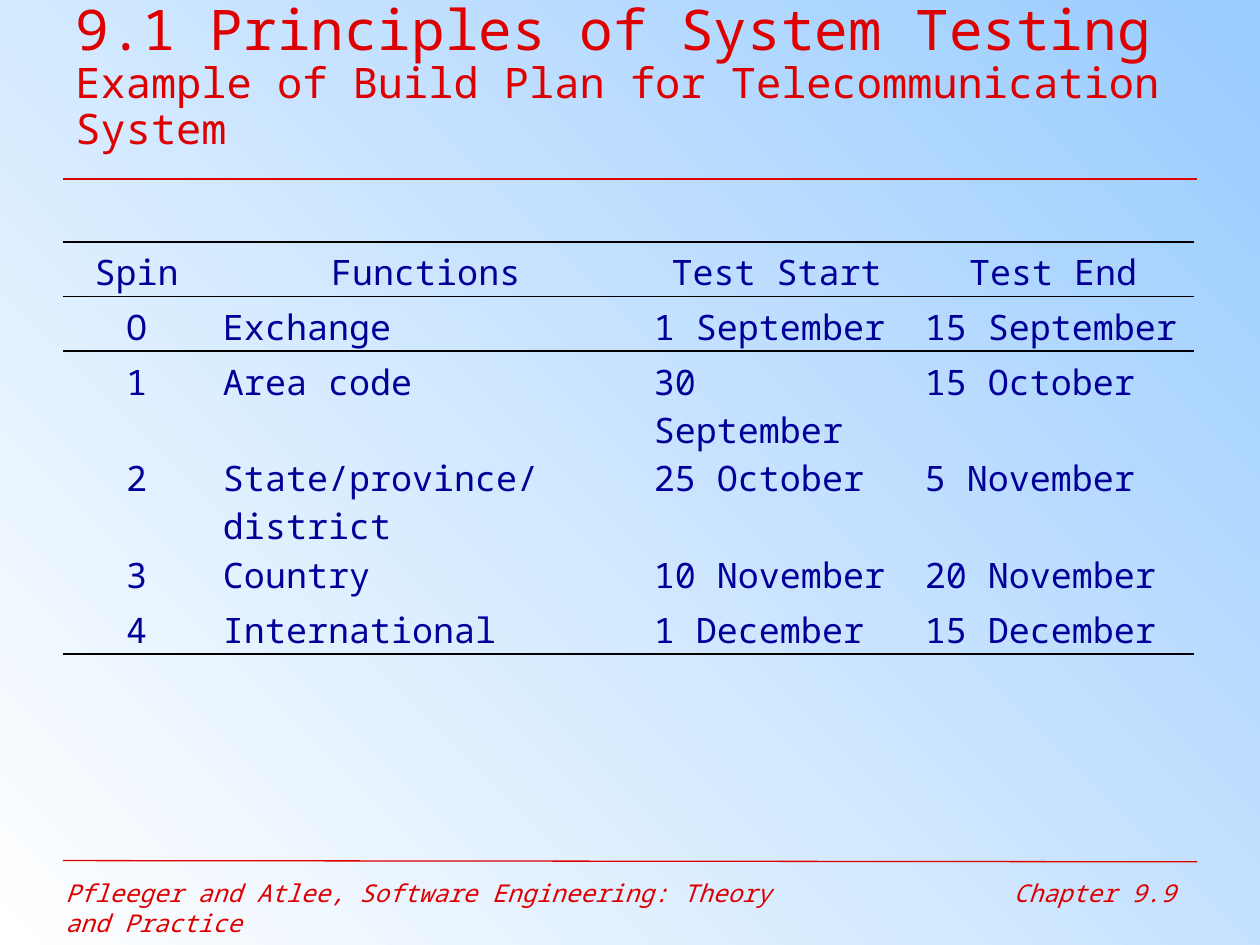
from lxml import etree
from pptx import Presentation, util as u
from pptx.dml.color import RGBColor
from pptx.enum import shapes, text
from pptx.oxml import ns, parse_xml

HUES = {"red": "DE0000", "navy": "000099", "black": "000000",
        "sky": "99CCFF", "white": "FFFFFF"}
FONT = "Noto Sans Mono"
PLAIN = "{2D5ABB26-0587-4C30-8999-92F81FD0307C}"  # no style, no grid
MID, LEFT, RIGHT = (text.PP_ALIGN.CENTER, text.PP_ALIGN.LEFT,
                    text.PP_ALIGN.RIGHT)

ROWS = [
    ("Spin", "Functions", "Test Start", "Test End"),
    ("O", "Exchange", "1 September", "15 September"),
    ("1", "Area code", "30 September", "15 October"),
    ("2", "State/province/district", "25 October", "5 November"),
    ("3", "Country", "10 November", "20 November"),
    ("4", "International", "1 December", "15 December"),
]
COLS = [1.17, 3.42, 2.15, 2.24]


def hue(name):
    return RGBColor.from_string(HUES[name])


class Page:
    def __init__(self, deck):
        self.slide = deck.slides.add_slide(deck.slide_layouts[6])

    def back(self, first, last, angle):
        fill = self.slide.background.fill
        fill.gradient()
        fill.gradient_angle = angle
        for stop, name in zip(fill.gradient_stops, (first, last)):
            stop.color.rgb = hue(name)

    def style(self, run, color, **form):
        run.font.color.rgb = hue(color)
        for key, val in {"name": FONT, **form}.items():
            setattr(run.font, key, val)

    def label(self, spot, runs, align=LEFT, space=None, italic=False, **form):
        box = self.slide.shapes.add_textbox(*map(u.Inches, spot))
        frame = box.text_frame
        for key, val in {"word_wrap": True, **form}.items():
            setattr(frame, key, val)
        para = frame.paragraphs[0]
        para.alignment = align
        para.line_spacing = space
        for num, (words, size) in enumerate(runs):
            if num:
                para.add_line_break()
            run = para.add_run()
            run.text = words
            self.style(run, "red", size=u.Pt(size), italic=italic)

    def rule(self, start, end, width):
        line = self.slide.shapes.add_connector(
            shapes.MSO_CONNECTOR.STRAIGHT, *map(u.Inches, start + end))
        line.line.color.rgb = hue("red")
        line.line.width = u.Pt(width)
        etree.SubElement(line._element.spPr, ns.qn("a:effectLst"))

    def edge(self, cell, sides):
        props = cell._tc.get_or_add_tcPr()
        for spot, side in enumerate(sides):
            props.insert(spot, parse_xml(
                f'<a:ln{side} {ns.nsdecls("a")} w="{u.Pt(1.08)}"><a:solidFill>'
                f'<a:srgbClr val="{HUES["black"]}"/></a:solidFill></a:ln{side}>'))

    def table(self, left, top, cols, rows, high):
        frame = self.slide.shapes.add_table(
            len(rows), len(cols), u.Inches(left), u.Inches(top),
            u.Inches(sum(cols)), u.Inches(high * len(rows)))
        grid = frame.table
        grid.first_row = grid.horz_banding = False
        grid._tbl.tblPr.find(ns.qn("a:tableStyleId")).text = PLAIN
        for col, wide in zip(grid.columns, cols):
            col.width = u.Inches(wide)
        # Rules above and below the header, and under the last row
        edges = {0: "TB", 1: "T", len(rows) - 1: "B"}
        for r, row in enumerate(rows):
            grid.rows[r].height = u.Inches(high)
            for c, words in enumerate(row):
                cell = grid.cell(r, c)
                cell.fill.background()
                self.edge(cell, edges.get(r, ""))
                para = cell.text_frame.paragraphs[0]
                para.alignment = MID if r == 0 or c == 0 else LEFT
                run = para.add_run()
                run.text = words
                self.style(run, "navy", size=u.Pt(20))


def main():
    deck = Presentation()
    deck.slide_width, deck.slide_height = u.Inches(10), u.Inches(7.5)
    page = Page(deck)
    page.back("sky", "white", 225)

    # Footer
    grow = text.MSO_AUTO_SIZE.SHAPE_TO_FIT_TEXT
    page.label((0.42, 6.92, 6, 0.34),
               [("Pfleeger and Atlee, Software Engineering: "
                 "Theory and Practice", 14)], italic=True, auto_size=grow)
    page.rule((0.5, 6.83), (9.5, 6.84), 0.75)
    page.rule((0.5, 1.42), (9.5, 1.42), 1.5)
    page.label((7.83, 6.92, 1.6, 0.37), [("Chapter 9.9", 14)],
               align=RIGHT, italic=True, auto_size=grow)

    # Title
    page.label((0.5, 0, 8.98, 1.23),
               [("9.1 Principles of System Testing", 32),
                ("Example of Build Plan for Telecommunication System", 24)],
               space=0.9, vertical_anchor=text.MSO_ANCHOR.MIDDLE)

    # Build plan
    page.table(0.5, 1.92, COLS, ROWS, 0.43)

    deck.save("out.pptx")


if __name__ == "__main__":
    main()
